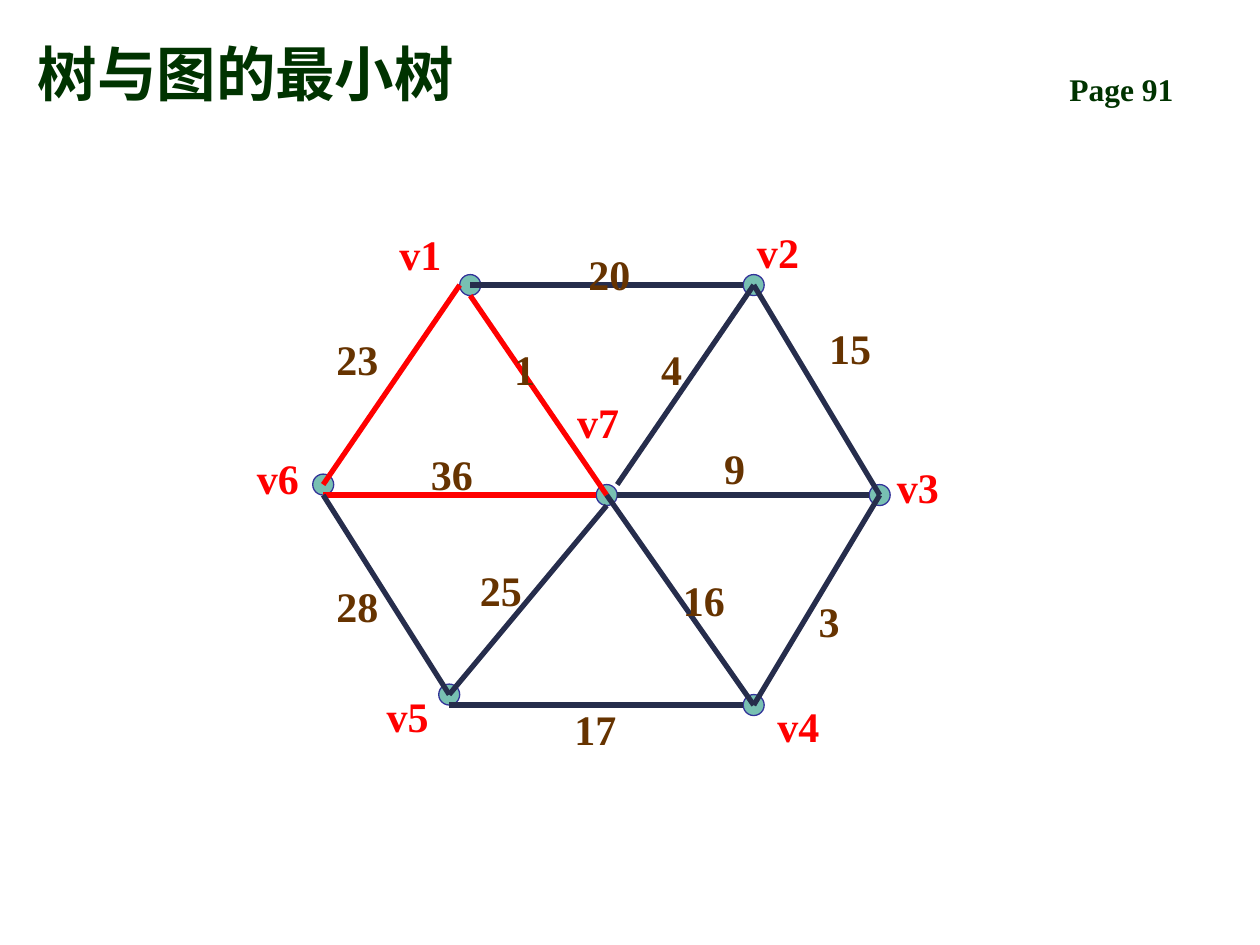
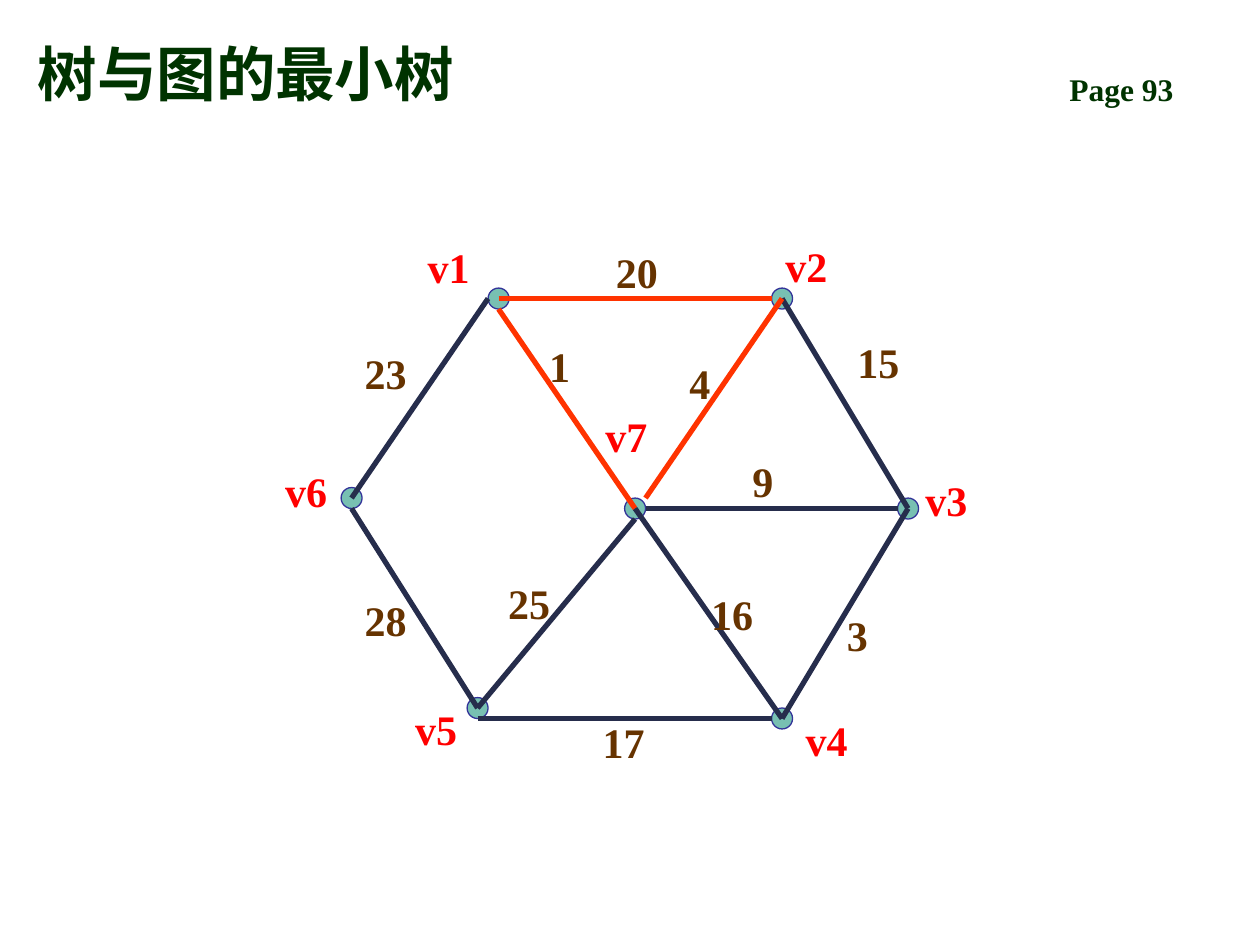
from lxml import etree
from pptx import Presentation
from pptx.dml.color import RGBColor
from pptx.enum.shapes import MSO_CONNECTOR, MSO_SHAPE
from pptx.enum.text import MSO_ANCHOR, MSO_AUTO_SIZE, PP_ALIGN
from pptx.oxml.ns import qn
from pptx.util import Pt

STRAIGHT = MSO_CONNECTOR.STRAIGHT
OVAL = MSO_SHAPE.OVAL
BOTTOM = MSO_ANCHOR.BOTTOM
NO_FIT = MSO_AUTO_SIZE.NONE
LEFT = PP_ALIGN.LEFT

FONT = "Times New Roman"
GREEN, RED, ORANGE, BROWN = "003300", "FF0000", "FF3300", "663300"
NAVY, TEAL, BLUE = "262D4C", "78C0B2", "333399"
RADIUS = 6

NODES = {
    "v7": (162, 6), "v4": (246, 126), "v5": (72, 120), "v2": (246, -114),
    "v3": (318, 6), "v6": (0, 0), "v1": (84, -114),
}
NODE_LABELS = {
    "v1": (36.4, -150), "v7": (138, -53.6), "v4": (252.4, 120),
    "v3": (320.8, -17), "v2": (240.8, -150.8), "v5": (29.2, 114),
    "v6": (-45, -22),
}

CENTER, RIGHT_SIDE, LEFT_SIDE = (0, 0), (1, 0), (-1, 0)
BELOW, UPPER_RIGHT = (0, 1), (1, -1)
EDGES = [
    ("v1", CENTER, "v2", LEFT_SIDE, "20", (144.4, -138.6)),
    ("v1", LEFT_SIDE, "v6", CENTER, "23", (0.4, -89.6)),
    ("v2", CENTER, "v3", CENTER, "15", (282, -96)),
    ("v1", BELOW, "v7", CENTER, "1", (102, -84)),
    ("v2", CENTER, "v7", UPPER_RIGHT, "4", (186, -84)),
    ("v6", BELOW, "v7", LEFT_SIDE, "36", (54.4, -24)),
    ("v7", RIGHT_SIDE, "v3", LEFT_SIDE, "9", (222, -27.7)),
    ("v6", BELOW, "v5", CENTER, "28", (0.4, 51.5)),
    ("v7", BELOW, "v5", CENTER, "25", (82.4, 42)),
    ("v7", CENTER, "v4", CENTER, "16", (198.4, 48)),
    ("v5", BELOW, "v4", LEFT_SIDE, "17", (136.4, 121.3)),
    ("v3", CENTER, "v4", CENTER, "3", (276, 60)),
]


def rgb(color):
    return RGBColor.from_string(color)


class Deck:
    def __init__(self):
        self.prs = Presentation()
        self.prs.slide_width, self.prs.slide_height = Pt(720), Pt(540)

    def styled_run(self, tf, text, size, color):
        p = tf.paragraphs[0]
        p.alignment = LEFT
        r = p.add_run()
        r.text = text
        r.font.name, r.font.size, r.font.bold = FONT, Pt(size), True
        r.font.color.rgb = rgb(color)

    def text_box(self, x, y, w, h, text, size, color):
        tf = self.s.shapes.add_textbox(Pt(x), Pt(y), Pt(w), Pt(h)).text_frame
        tf.word_wrap = True
        self.styled_run(tf, text, size, color)

    def slide(self, title, page):
        self.s = self.prs.slides.add_slide(self.prs.slide_layouts[5])
        self.text_box(604, 36.7, 102, 29, page, 18, GREEN)
        sp = self.s.shapes.title
        sp.left, sp.top, sp.width, sp.height = Pt(14.4), Pt(9.4), Pt(578), Pt(56)
        tf = sp.text_frame
        tf.auto_size, tf.vertical_anchor = NO_FIT, BOTTOM
        self.styled_run(tf, title, 34, GREEN)

    def node(self, x, y):
        sp = self.s.shapes.add_shape(
            OVAL, Pt(x - RADIUS), Pt(y - RADIUS), Pt(2 * RADIUS), Pt(2 * RADIUS))
        sp.shadow.inherit = False
        sp.fill.solid()
        sp.fill.fore_color.rgb = rgb(TEAL)
        sp.line.color.rgb = rgb(BLUE)
        sp.line.width = Pt(0.75)

    def edge(self, x1, y1, x2, y2, color):
        c = self.s.shapes.add_connector(STRAIGHT, Pt(x1), Pt(y1), Pt(x2), Pt(y2))
        c.line.color.rgb = rgb(color)
        c.line.width = Pt(3)
        etree.SubElement(c._element.spPr, qn("a:effectLst"))

    def label(self, x, y, text, color):
        self.text_box(x, y, 42, 36, text, 24, color)

    def graph(self, x0, y0, marked, color, removed=(), moved=None):
        moved = moved or {}
        edges = [e for e in EDGES if e[4] not in removed]
        for x, y in NODES.values():
            self.node(x0 + x, y0 + y)
        for start, side1, end, side2, weight, _ in edges:
            (x1, y1), (x2, y2) = NODES[start], NODES[end]
            self.edge(x0 + x1 + RADIUS * side1[0], y0 + y1 + RADIUS * side1[1],
                      x0 + x2 + RADIUS * side2[0], y0 + y2 + RADIUS * side2[1],
                      color if weight in marked else NAVY)
        for name, (x, y) in NODE_LABELS.items():
            self.label(x0 + x, y0 + y, name, RED)
        for *_, weight, place in edges:
            x, y = moved.get(weight, place)
            self.label(x0 + x, y0 + y, weight, BROWN)


def main():
    title = "树与图的最小树"
    deck = Deck()
    deck.slide(title, "Page 91")
    deck.graph(184.7, 276.9, {"23", "1", "36"}, RED)
    deck.slide(title, "Page 93")
    deck.graph(200.9, 284.6, {"20", "1", "4"}, ORANGE, removed={"36"},
               moved={"20": (144, -147), "1": (105.8, -93.8)})
    deck.prs.save("out.pptx")


if __name__ == "__main__":
    main()
